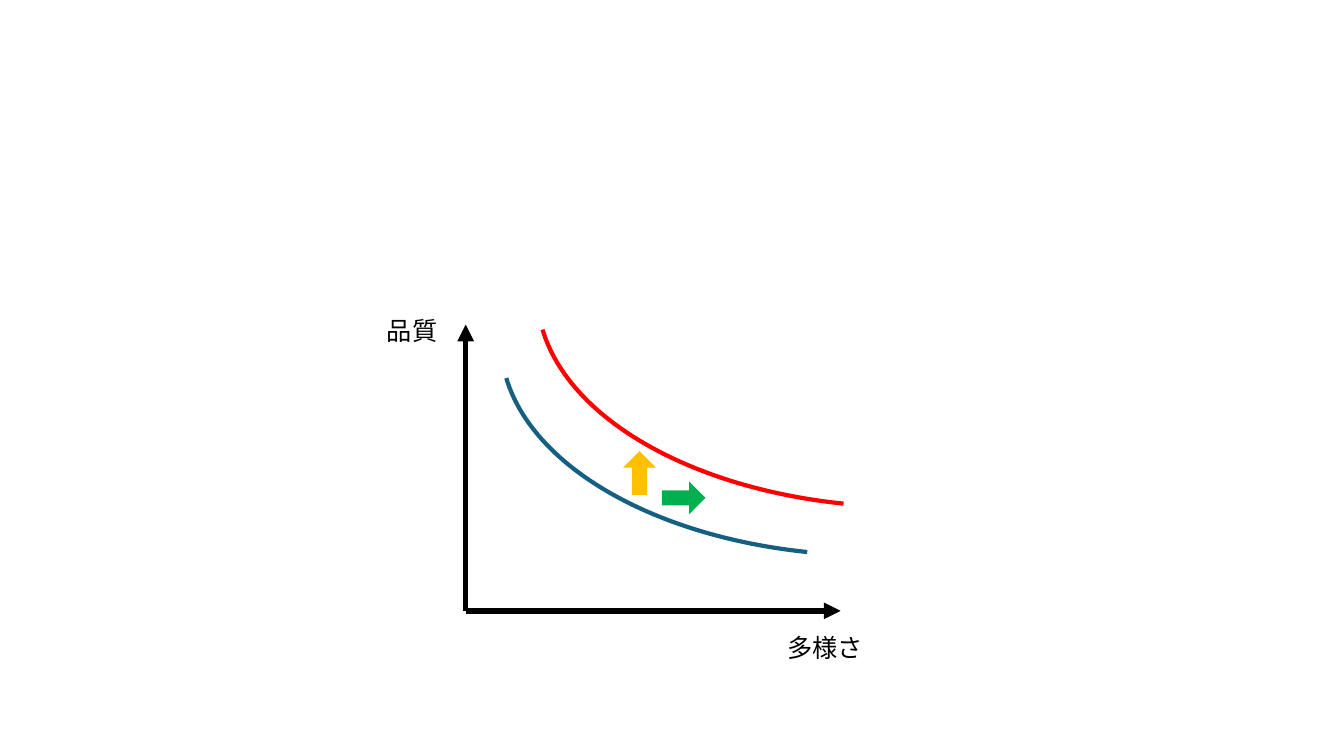
from lxml.etree import SubElement
from pptx import Presentation
from pptx.dml.color import RGBColor
from pptx.enum.shapes import MSO_CONNECTOR, MSO_SHAPE
from pptx.oxml.ns import qn
from pptx.util import Pt

BLACK = RGBColor(0x00, 0x00, 0x00)
BLUE = RGBColor(0x15, 0x60, 0x82)
RED = RGBColor(0xFF, 0x00, 0x00)
GREEN = RGBColor(0x00, 0xB0, 0x50)
GOLD = RGBColor(0xFF, 0xC0, 0x00)
FONT = "Noto Sans CJK JP"

# Content, in points
ORIGIN = (332.64, 436.32)
TIPS = [(600.48, 436.32), (332.64, 231.84)]
LABELS = [("多様さ", 555.12, 447.84, 69.12), ("品質", 269.28, 221.76, 51.12)]
CURVES = [(BLUE, 357.84, 92.16), (RED, 383.76, 57.6)]
ARC = (532.08, 304.56)
SWEEP = (172.51, 212.66)
RIGHT = (GREEN, 475.2, 349.92, 0)
UP = (GOLD, 444.24, 332.64, 270)
ARROW = (25.2, 11.52)


def style(line, color, width):
    line.color.rgb = color
    line.width = Pt(width)


def add_axis(shapes, tip):
    axis = shapes.add_connector(MSO_CONNECTOR.STRAIGHT, *map(Pt, ORIGIN + tip))
    style(axis.line, BLACK, 4)
    SubElement(axis.line._get_or_add_ln(), qn("a:tailEnd"), type="triangle")
    SubElement(axis._element.spPr, qn("a:effectLst"))


def add_label(shapes, text, left, top, width):
    box = shapes.add_textbox(Pt(left), Pt(top), Pt(width), Pt(28.8))
    box.text_frame.word_wrap = False
    para = box.text_frame.paragraphs[0]
    para.text = text
    font = para.font
    font.name, font.size = FONT, Pt(18)
    font.color.rgb = BLACK
    # East Asian glyphs need their own typeface entry
    props = para._p.pPr.find(qn("a:defRPr"))
    SubElement(props, qn("a:ea"), typeface=FONT)


def add_curve(shapes, color, left, top):
    curve = shapes.add_shape(MSO_SHAPE.ARC, *map(Pt, (left, top) + ARC))
    curve.shadow.inherit = False
    curve.rotation = 180
    curve.adjustments[0], curve.adjustments[1] = SWEEP
    curve.fill.background()
    style(curve.line, color, 3)


def add_arrow(shapes, color, left, top, turn):
    arrow = shapes.add_shape(MSO_SHAPE.RIGHT_ARROW, *map(Pt, (left, top) + ARROW))
    arrow.shadow.inherit = False
    arrow.rotation = turn
    arrow.fill.solid()
    arrow.fill.fore_color.rgb = color
    style(arrow.line, color, 5)
    # Sharp corners
    SubElement(arrow.line._get_or_add_ln(), qn("a:miter"), lim="800000")


def main():
    deck = Presentation()
    deck.slide_width, deck.slide_height = Pt(960), Pt(540)
    slide = deck.slides.add_slide(deck.slide_layouts[6])

    # Trade-off graph
    graph = slide.shapes.add_group_shape().shapes
    for tip in TIPS:
        add_axis(graph, tip)
    for label in LABELS:
        add_label(graph, *label)
    for curve in CURVES:
        add_curve(graph, *curve)

    # Shift between the curves
    add_arrow(graph, *RIGHT)
    add_arrow(slide.shapes, *UP)
    deck.save("out.pptx")


if __name__ == "__main__":
    main()
